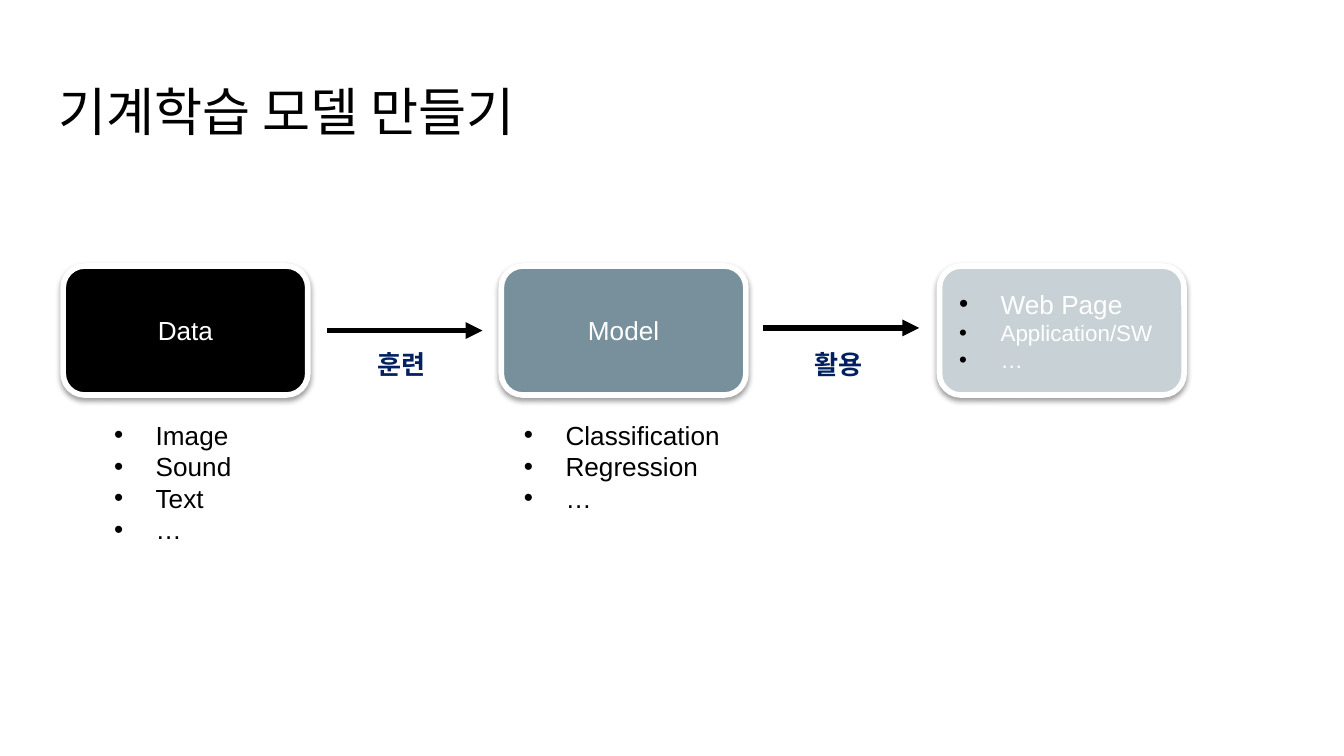
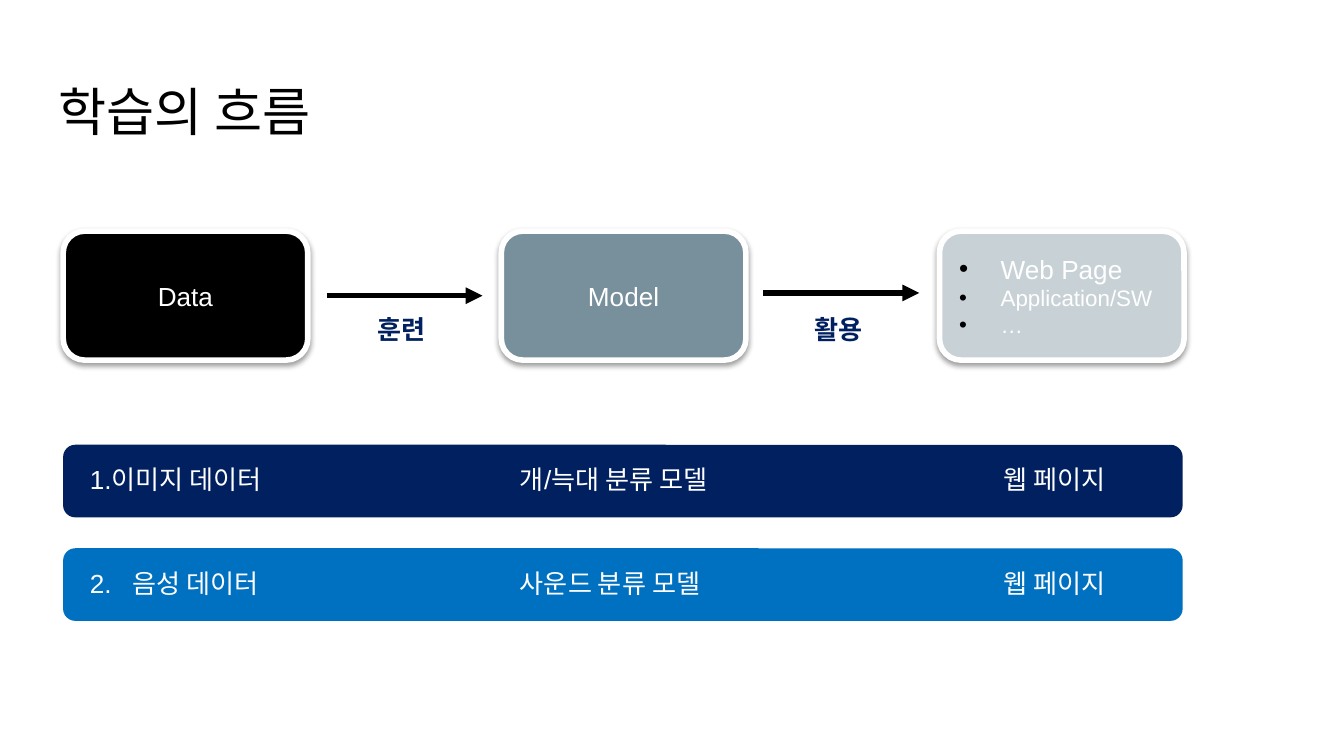
from dataclasses import dataclass
from typing import Optional

from lxml.etree import SubElement
from pptx import Presentation
from pptx.dml.color import RGBColor
from pptx.enum.shapes import MSO_CONNECTOR as Connector, MSO_SHAPE as Preset
from pptx.enum.text import MSO_ANCHOR as Anchor, PP_ALIGN as Align
from pptx.oxml.ns import qn
from pptx.util import Inches, Pt

BLACK, WHITE, NAVY, BLUE = "000000", "FFFFFF", "002060", "0070C0"
FONT = "Arial"
BODY_SIZE = 14
LEFT = 0.47
STAGE_STEP, STAGE_WIDTH, STAGE_HEIGHT = 3.26, 1.82, 0.96
ROW_TOP, ROW_STEP, ROW_WIDTH, ROW_HEIGHT = 3.31, 0.77, 8.33, 0.54


@dataclass(frozen=True)
class Stage:
    lines: tuple[str, ...]
    fill: str
    sizes: tuple[int, ...] = (BODY_SIZE,)


@dataclass(frozen=True)
class Step:
    label: str
    arrow_left: float
    arrow_drop: float
    label_left: float


@dataclass(frozen=True)
class BulletList:
    left: float
    width: float
    height: float
    items: tuple[str, ...]


@dataclass(frozen=True)
class Row:
    fill: str
    cells: tuple[str, str, str]


STAGES = (
    Stage(("Data",), BLACK),
    Stage(("Model",), "78909C"),
    Stage(("Web Page", "Application/SW", "…"), "C8D2D6", (14, 12, 12)),
)
STEPS = (Step("훈련", 2.43, 0.48, 2.71), Step("활용", 5.68, 0.46, 5.96))
EXAMPLES = (
    BulletList(3.8, 1.67, 0.81, ("Classification", "Regression", "…")),
    BulletList(0.75, 1.08, 1.04, ("Image", "Sound", "Text", "…")),
)
ROWS = (
    Row(NAVY, ("1.이미지 데이터", "개/늑대 분류 모델", "웹 페이지")),
    Row(BLUE, ("2.\t음성 데이터", "사운드 분류 모델", "웹 페이지")),
)
CELLS = ((0.57, 1.6), (3.77, 1.74), (7.37, 1.04))


def rgb(color: str) -> RGBColor:
    return RGBColor.from_string(color)


def format_runs(paragraph, size: int, color: str, bold: bool = False) -> None:
    for run in paragraph.runs:
        run.font.size = Pt(size)
        run.font.bold = bold
        run.font.color.rgb = rgb(color)
        run.font.name = FONT


def add_bullet(paragraph) -> None:
    properties = paragraph._p.get_or_add_pPr()
    properties.set("marL", str(Inches(0.31)))
    properties.set("indent", str(-Inches(0.31)))
    bullet_color = SubElement(properties, qn("a:buClr"))
    SubElement(bullet_color, qn("a:srgbClr"), val=BLACK)
    SubElement(properties, qn("a:buFont"), typeface=FONT)
    SubElement(properties, qn("a:buChar"), char="•")


def add_tab_stop(paragraph, position: float) -> None:
    tabs = SubElement(paragraph._p.get_or_add_pPr(), qn("a:tabLst"))
    SubElement(tabs, qn("a:tab"), pos=str(Inches(position)), algn="l")


def fill_text(shape, lines: tuple[str, ...], sizes: tuple[int, ...], color: str) -> None:
    text_frame = shape.text_frame
    text_frame.word_wrap = True
    text_frame.text = "\n".join(lines)
    bulleted = len(lines) > 1
    for paragraph, size in zip(text_frame.paragraphs, sizes):
        if bulleted:
            add_bullet(paragraph)
        format_runs(paragraph, size, color)


def add_text(shapes, left: float, top: float, width: float, height: float, text: str,
             size: int = BODY_SIZE, color: str = WHITE, bold: bool = False):
    box = shapes.add_textbox(Inches(left), Inches(top), Inches(width), Inches(height))
    box.text_frame.word_wrap = True
    box.text_frame.text = text
    paragraph = box.text_frame.paragraphs[0]
    if "\t" in text:
        add_tab_stop(paragraph, 0.32)
    format_runs(paragraph, size, color, bold)
    return box


def add_round_box(shapes, left: float, top: float, width: float, height: float,
                  fill: str, outline: Optional[str] = None):
    shape = shapes.add_shape(Preset.ROUNDED_RECTANGLE, Inches(left), Inches(top),
                             Inches(width), Inches(height))
    shape.shadow.inherit = False
    shape.fill.solid()
    shape.fill.fore_color.rgb = rgb(fill)
    if outline:
        shape.line.color.rgb = rgb(outline)
        shape.line.width = Pt(3)
    else:
        shape.line.fill.background()
    return shape


def add_shadow(shape) -> None:
    effects = shape._element.spPr.find(qn("a:effectLst"))
    shadow = SubElement(effects, qn("a:outerShdw"), blurRad=str(Pt(3.1)), dist=str(Pt(1.6)),
                        dir="5400000", rotWithShape="0")
    color = SubElement(shadow, qn("a:srgbClr"), val=BLACK)
    SubElement(color, qn("a:alpha"), val="38000")


def add_arrow(slide, left: float, top: float, length: float) -> None:
    arrow = slide.shapes.add_connector(Connector.STRAIGHT, Inches(left), Inches(top),
                                       Inches(left + length), Inches(top))
    arrow.line.color.rgb = rgb(BLACK)
    arrow.line.width = Pt(3)
    SubElement(arrow.line._get_or_add_ln(), qn("a:tailEnd"), type="triangle")
    SubElement(arrow._element.spPr, qn("a:effectLst"))


def add_stage(slide, stage: Stage, left: float, top: float) -> None:
    shape = add_round_box(slide.shapes, left, top, STAGE_WIDTH, STAGE_HEIGHT, stage.fill, WHITE)
    add_shadow(shape)
    fill_text(shape, stage.lines, stage.sizes, WHITE)
    shape.text_frame.vertical_anchor = Anchor.MIDDLE
    alignment = Align.CENTER if len(stage.lines) == 1 else Align.LEFT
    for paragraph in shape.text_frame.paragraphs:
        paragraph.alignment = alignment


def add_flow(slide, top: float) -> None:
    for index, stage in enumerate(STAGES):
        add_stage(slide, stage, LEFT + index * STAGE_STEP, top)
    for step in STEPS:
        add_arrow(slide, step.arrow_left, top + step.arrow_drop, 1.16)
        add_text(slide.shapes, step.label_left, top + 0.56, 0.59, 0.34, step.label,
                 color=NAVY, bold=True)


def add_example_list(slide, example: BulletList) -> None:
    box = slide.shapes.add_textbox(Inches(example.left), Inches(3.07),
                                   Inches(example.width), Inches(example.height))
    fill_text(box, example.items, (BODY_SIZE,) * len(example.items), BLACK)


def add_row(slide, row: Row, top: float) -> None:
    group = slide.shapes.add_group_shape()
    add_round_box(group.shapes, LEFT, top, ROW_WIDTH, ROW_HEIGHT, row.fill)
    for (left, width), text in zip(CELLS, row.cells):
        add_text(group.shapes, left, top + 0.09, width, 0.34, text)


def add_slide(presentation, title: str, flow_top: float):
    slide = presentation.slides.add_slide(presentation.slide_layouts[6])
    box = add_text(slide.shapes, 0.34, 0.49, 9.32, 0.63, title, 28, BLACK)
    box.text_frame.margin_top = box.text_frame.margin_bottom = Inches(0.1)
    add_flow(slide, flow_top)
    return slide


def main() -> None:
    presentation = Presentation()
    presentation.slide_width = Inches(10)
    presentation.slide_height = presentation.slide_width * 9 // 16

    model_slide = add_slide(presentation, "기계학습 모델 만들기", 1.98)
    for example in EXAMPLES:
        add_example_list(model_slide, example)

    flow_slide = add_slide(presentation, "학습의 흐름", 1.72)
    for index, row in enumerate(ROWS):
        add_row(flow_slide, row, ROW_TOP + index * ROW_STEP)

    presentation.save("out.pptx")


if __name__ == "__main__":
    main()
